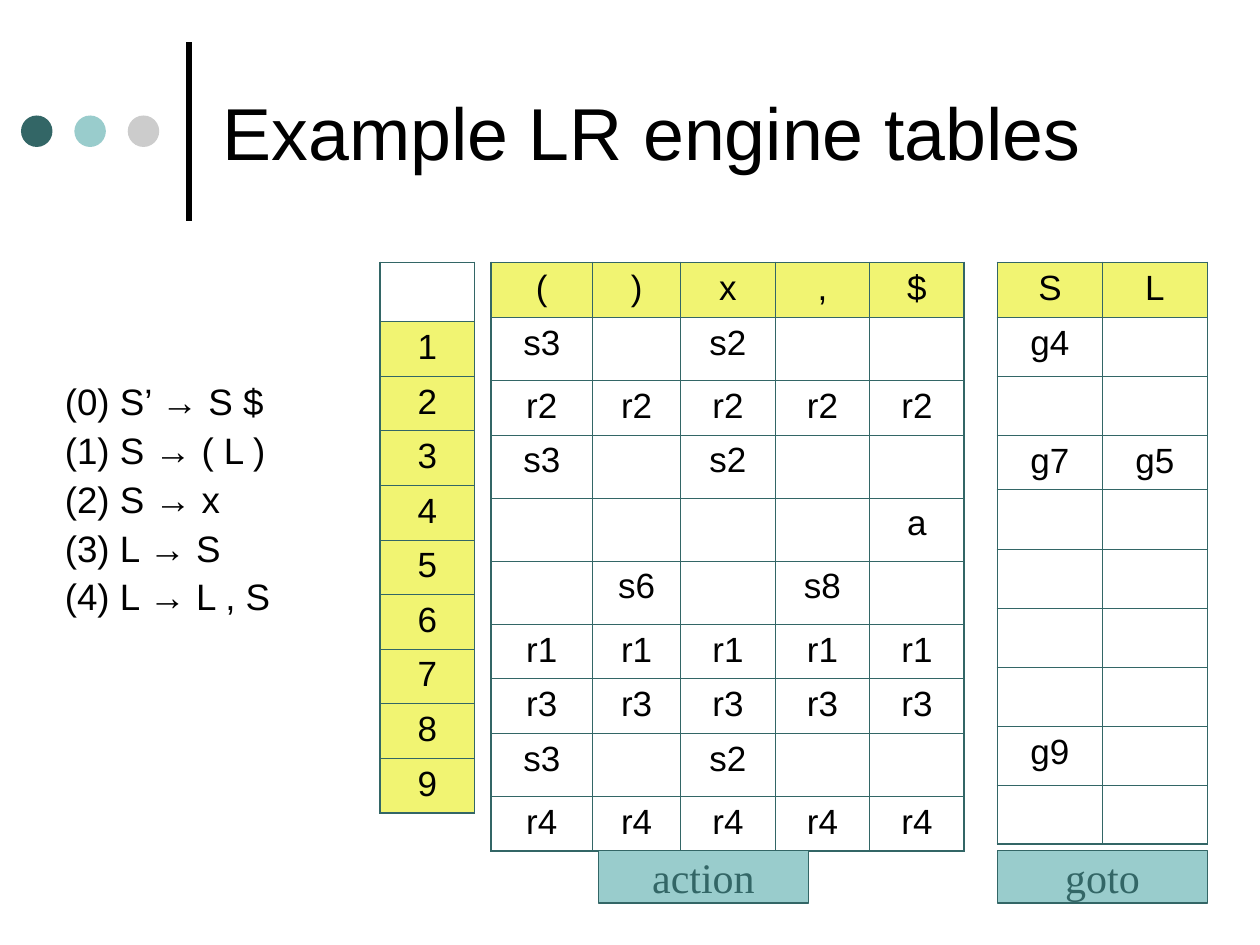
"""Build a slide showing the action and goto tables of an LR parser engine."""
from lxml.etree import SubElement
from pptx import Presentation
from pptx.dml.color import RGBColor
from pptx.enum.shapes import MSO_CONNECTOR, MSO_SHAPE
from pptx.enum.text import MSO_ANCHOR, PP_ALIGN
from pptx.oxml.ns import qn
from pptx.util import Pt

BLACK = RGBColor(0x00, 0x00, 0x00)
TEAL = RGBColor(0x33, 0x66, 0x66)
AQUA = RGBColor(0x99, 0xCC, 0xCC)
GRAY = RGBColor(0xCC, 0xCC, 0xCC)
YELLOW = RGBColor(0xF1, 0xF4, 0x72)
SANS = "Arial"
SERIF = "Times New Roman"
TABLE_TOP = 150
ROW_HEIGHT = 31.2
LABEL_WIDTH = 120
GOTO_LEFT = 570

PRODUCTIONS = ["(0) S’ → S $", "(1) S → ( L )", "(2) S → x", "(3) L → S", "(4) L → L , S"]
STATES = [[""]] + [[str(state)] for state in range(1, 10)]
SHIFT = ["s3", "", "s2", "", ""]
ACTIONS = [
    ["(", ")", "x", ",", "$"],
    SHIFT,
    ["r2"] * 5,
    SHIFT,
    ["", "", "", "", "a"],
    ["", "s6", "", "s8", ""],
    ["r1"] * 5,
    ["r3"] * 5,
    SHIFT,
    ["r4"] * 5,
]
EMPTY = ["", ""]
GOTOS = [["S", "L"], ["g4", ""], EMPTY, ["g7", "g5"], EMPTY, EMPTY, EMPTY, EMPTY, ["g9", ""], EMPTY]


class SlideWriter:
    def __init__(self, page):
        self.page = page

    def format_text(self, para, size, font=SANS, color=BLACK):
        for span in para.runs:
            span.font.size = Pt(size)
            span.font.name = font
            span.font.color.rgb = color

    def title(self, text, left, top, width, height):
        box = self.page.shapes.title
        box.left, box.top, box.width, box.height = Pt(left), Pt(top), Pt(width), Pt(height)
        frame = box.text_frame
        frame.text = text
        frame.vertical_anchor = MSO_ANCHOR.MIDDLE
        frame.paragraphs[0].alignment = PP_ALIGN.LEFT
        self.format_text(frame.paragraphs[0], 42)

    def rule(self, x, top, bottom):
        line = self.page.shapes.add_connector(MSO_CONNECTOR.STRAIGHT, Pt(x), Pt(bottom), Pt(x), Pt(top))
        line.line.color.rgb = BLACK
        line.line.width = Pt(3)
        SubElement(line._element.spPr, qn("a:effectLst"))

    def shape(self, kind, left, top, width, height, fill):
        box = self.page.shapes.add_shape(kind, Pt(left), Pt(top), Pt(width), Pt(height))
        box.shadow.inherit = False
        box.fill.solid()
        box.fill.fore_color.rgb = fill
        box.line.fill.background()
        return box

    def label(self, text, left):
        box = self.shape(MSO_SHAPE.RECTANGLE, left, 486, LABEL_WIDTH, 30, AQUA)
        box.line.color.rgb = TEAL
        box.line.width = Pt(0.75)
        frame = box.text_frame
        frame.text = text
        frame.word_wrap = False
        frame.vertical_anchor = MSO_ANCHOR.MIDDLE
        frame.paragraphs[0].alignment = PP_ALIGN.CENTER
        self.format_text(frame.paragraphs[0], 24, SERIF, TEAL)

    def text_list(self, lines, left, top, width, height):
        frame = self.page.shapes.add_textbox(Pt(left), Pt(top), Pt(width), Pt(height)).text_frame
        frame.word_wrap = True
        frame.text = "\n".join(lines)
        for index, para in enumerate(frame.paragraphs):
            para.line_spacing = 0.9
            para.space_before = Pt(5.2 if index else 0)
            properties = para._p.get_or_add_pPr()
            properties.set("marL", str(Pt(27)))
            properties.set("indent", str(Pt(-27)))
            self.format_text(para, 21)

    def border(self, cell, side, width):
        line = SubElement(cell._tc.get_or_add_tcPr(), qn(f"a:ln{side}"), w=str(Pt(width)))
        fill = SubElement(line, qn("a:solidFill"))
        SubElement(fill, qn("a:srgbClr"), val=str(TEAL))

    def cell(self, cell, text, edges, highlighted):
        for side, is_outer in edges.items():
            self.border(cell, side, 1.08 if is_outer else 0.45)
        if highlighted:
            cell.fill.solid()
            cell.fill.fore_color.rgb = YELLOW
        else:
            cell.fill.background()
        cell.text_frame.text = text
        para = cell.text_frame.paragraphs[0]
        para.alignment = PP_ALIGN.CENTER
        self.format_text(para, 20)
        if not text:
            ending = SubElement(para._p, qn("a:endParaRPr"), sz="2400")
            SubElement(ending, qn("a:latin"), typeface=SERIF)

    def table(self, rows, left, widths):
        frame = self.page.shapes.add_table(
            len(rows), len(widths), Pt(left), Pt(TABLE_TOP), Pt(sum(widths)), Pt(ROW_HEIGHT * len(rows))
        )
        table = frame.table
        table.first_row = table.horz_banding = False
        for column, width in zip(table.columns, widths):
            column.width = Pt(width)
        last_row, last_column = len(rows) - 1, len(widths) - 1
        for r, values in enumerate(rows):
            table.rows[r].height = Pt(ROW_HEIGHT)
            for c, text in enumerate(values):
                edges = {"L": c == 0, "R": c == last_column, "T": r == 0, "B": r == last_row}
                is_heading = r == 0 or last_column == 0
                self.cell(table.cell(r, c), text, edges, is_heading and text != "")


def main():
    deck = Presentation()
    deck.slide_width, deck.slide_height = Pt(720), Pt(540)
    writer = SlideWriter(deck.slides.add_slide(deck.slide_layouts[5]))
    writer.rule(108, 24, 126)
    for index, color in enumerate([TEAL, AQUA, GRAY]):
        writer.shape(MSO_SHAPE.OVAL, 12 + 30.5 * index, 66, 18, 18, color)
    writer.title("Example LR engine tables", 120, 15, 552, 120)
    writer.table(STATES, 217.2, [54])
    writer.table(GOTOS, GOTO_LEFT, [60, 60])
    writer.text_list(PRODUCTIONS, 30, 216, 150, 180)
    writer.table(ACTIONS, 280.6, [58, 50.4, 54, 54, 54])
    writer.label("action", 342)
    writer.label("goto", GOTO_LEFT)
    deck.save("out.pptx")


if __name__ == "__main__":
    main()
